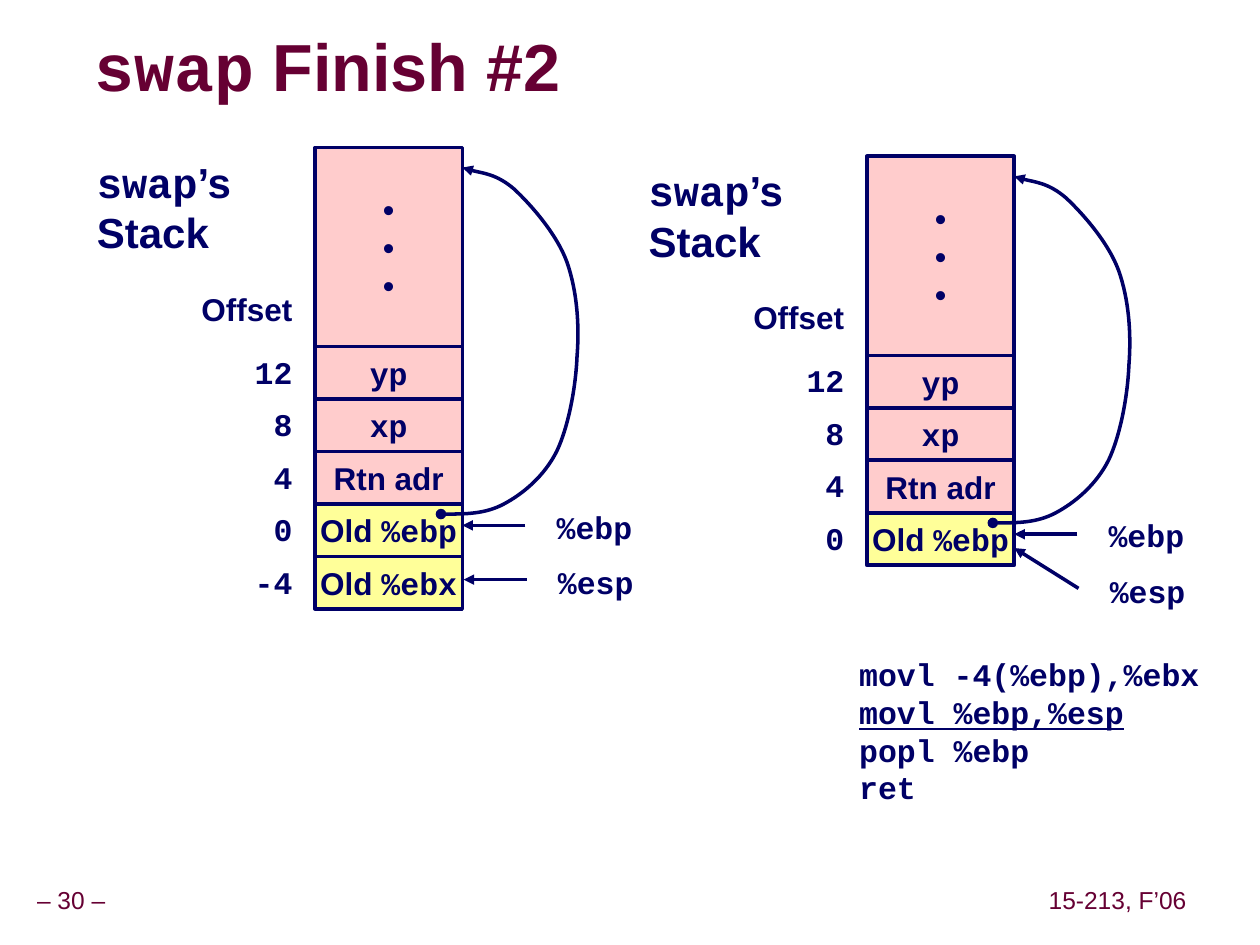
from pptx import Presentation
from pptx.dml.color import RGBColor
from pptx.enum.shapes import MSO_CONNECTOR as Connector, MSO_SHAPE as Shape
from pptx.enum.text import MSO_ANCHOR as Anchor, PP_ALIGN as Align
from pptx.oxml.ns import qn
from pptx.util import Inches, Pt
from lxml.etree import SubElement

NAVY = RGBColor(0x00, 0x00, 0x66)
MAROON = RGBColor(0x66, 0x00, 0x33)
PINK = RGBColor(0xFF, 0xCC, 0xCC)
YELLOW = RGBColor(0xFF, 0xFF, 0x99)
SANS, MONO = "Arial", "Courier New"

ROW = 5 / 12
CALLER_HEIGHT = 1.58
STACK_WIDTH = 1.17
LINK_START = (1.0, 2.91)
LINK_CURVE = [
    (1.17, 2.91), (1.35, 2.91), (1.5, 2.83),
    (1.65, 2.75), (1.82, 2.61), (1.92, 2.41),
    (2.01, 2.22), (2.07, 1.91), (2.08, 1.66),
    (2.1, 1.41), (2.08, 1.14), (2.0, 0.91),
    (1.92, 0.69), (1.72, 0.46), (1.58, 0.33),
    (1.44, 0.21), (1.24, 0.19), (1.17, 0.16),
]


def styled(text, font=SANS, size=18, color=NAVY, bold=True, underline=None):
    return dict(text=text, font=font, size=size, color=color,
                bold=bold, underline=underline)


class SlideBuilder:
    line_width = Pt(2)

    def __init__(self, page):
        self.page = page

    def set_text(self, shape, lines, align=Align.LEFT, anchor=Anchor.TOP,
                 insets=(0.1, 0.05), spacing=None):
        frame = shape.text_frame
        frame.word_wrap = False
        frame.vertical_anchor = anchor
        frame.margin_left = frame.margin_right = Inches(insets[0])
        frame.margin_top = frame.margin_bottom = Inches(insets[1])
        for index, line in enumerate(lines):
            para = frame.add_paragraph() if index else frame.paragraphs[0]
            para.alignment = align
            para.line_spacing = spacing
            for part in line:
                span = para.add_run()
                span.text = part["text"]
                span.font.name = part["font"]
                span.font.size = Pt(part["size"])
                span.font.bold = part["bold"]
                span.font.underline = part["underline"]
                span.font.color.rgb = part["color"]

    def text(self, left, top, width, height, lines, **layout):
        box = self.page.shapes.add_textbox(
            Inches(left), Inches(top), Inches(width), Inches(height))
        self.set_text(box, lines, **layout)
        return box

    def add_text_shadow(self, box):
        for properties in box.element.iter(qn("a:rPr")):
            effects = SubElement(properties, qn("a:effectLst"))
            shadow = SubElement(effects, qn("a:outerShdw"), dist="53882", dir="2700000")
            SubElement(shadow, qn("a:srgbClr"), val="969696")
            properties.find(qn("a:solidFill")).addnext(effects)

    def cell(self, left, top, height, fill, lines):
        box = self.page.shapes.add_shape(
            Shape.RECTANGLE, Inches(left), Inches(top), Inches(STACK_WIDTH), Inches(height))
        box.shadow.inherit = False
        box.fill.solid()
        box.fill.fore_color.rgb = fill
        self.outline(box)
        self.set_text(box, lines, align=Align.CENTER, anchor=Anchor.MIDDLE)

    def outline(self, shape, **ends):
        shape.line.color.rgb = NAVY
        shape.line.width = self.line_width
        line = shape.element.spPr.find(qn("a:ln"))
        for end, kind in ends.items():
            SubElement(line, qn(f"a:{end}"), type=kind)

    def arrow(self, start, end):
        points = [Inches(value) for value in (*start, *end)]
        arrow = self.page.shapes.add_connector(Connector.STRAIGHT, *points)
        self.outline(arrow, tailEnd="triangle")
        SubElement(arrow.element.spPr, qn("a:effectLst"))

    def curve(self, left, top, start, points):
        def place(point):
            return Inches(left + point[0]), Inches(top + point[1])

        builder = self.page.shapes.build_freeform(*place(start))
        builder.add_line_segments([place(point) for point in points], close=False)
        curve = builder.convert_to_shape()
        curve.shadow.inherit = False
        curve.fill.background()
        self.outline(curve, headEnd="oval", tailEnd="triangle")
        outline = next(curve.element.iter(qn("a:path")))
        segments = outline.findall(qn("a:lnTo"))
        for first in range(0, len(segments), 3):
            bezier = SubElement(outline, qn("a:cubicBezTo"))
            for segment in segments[first:first + 3]:
                bezier.append(segment[0])
                outline.remove(segment)

    def stack(self, left, top, rows, esp_arrow):
        rows_top = top + CALLER_HEIGHT
        for index, (offset, fill, line) in enumerate(rows):
            row_top = rows_top + index * ROW
            self.cell(left, row_top, ROW, fill, [line])
            self.text(left - 0.58, row_top, 0.5, 0.4,
                      [[styled(offset, MONO)]], align=Align.RIGHT)
        self.cell(left, top, CALLER_HEIGHT, PINK, [[styled("•")]] * 3)
        self.text(left - 1, top + 1.08, 0.92, 0.4, [[styled("Offset")]])
        self.text(left - 1.83, top + 0.02, 1.28, 0.9,
                  [[styled("swap", MONO, 24), styled("’s", size=24)],
                   [styled("Stack", size=24)]])
        for name, x, y in (("%ebp", 1.82, 2.81), ("%esp", 1.83, 3.25)):
            self.text(left + x, top + y, 0.8, 0.4, [[styled(name, MONO)]])
        for start, end in (((1.67, 3), (1.17, 3)), esp_arrow):
            self.arrow((left + start[0], top + start[1]), (left + end[0], top + end[1]))
        self.curve(left, top, LINK_START, LINK_CURVE)


def main():
    deck = Presentation()
    deck.slide_width, deck.slide_height = Inches(10), Inches(7.5)
    slide = SlideBuilder(deck.slides.add_slide(deck.slide_layouts[6]))

    for left, width, label in ((-0.09, 1.31, "– 30 –"), (8.27, 1.2, "15-213, F’06")):
        slide.text(left, 7, width, 0.31,
                   [[styled(label, size=14, color=MAROON, bold=False)]],
                   align=Align.CENTER, anchor=Anchor.MIDDLE,
                   insets=(0.05, 0.05), spacing=0.9)
    heading = dict(size=38, color=MAROON)
    title = slide.text(0.75, 0.25, 6.07, 0.63,
                       [[styled("swap", MONO, **heading), styled(" Finish #2", **heading)]],
                       anchor=Anchor.MIDDLE, insets=(0, 0), spacing=0.87)
    slide.add_text_shadow(title)

    code = ["movl -4(%ebp),%ebx", "movl %ebp,%esp", "popl %ebp", "ret"]
    current = "movl %ebp,%esp"
    slide.text(6.72, 5.15, 2.92, 1.3,
               [[styled(line, MONO, underline=line == current)] for line in code])

    rows = [
        ("12", PINK, [styled("yp", MONO)]),
        ("8", PINK, [styled("xp", MONO)]),
        ("4", PINK, [styled("Rtn adr")]),
        ("0", YELLOW, [styled("Old "), styled("%ebp", MONO)]),
        ("-4", YELLOW, [styled("Old "), styled("%ebx", MONO)]),
    ]
    slide.stack(2.5, 1.17, rows, ((1.68, 3.43), (1.18, 3.43)))
    slide.stack(6.88, 1.24, rows[:-1], ((1.68, 3.43), (1.17, 3.11)))

    deck.save("out.pptx")


if __name__ == "__main__":
    main()
